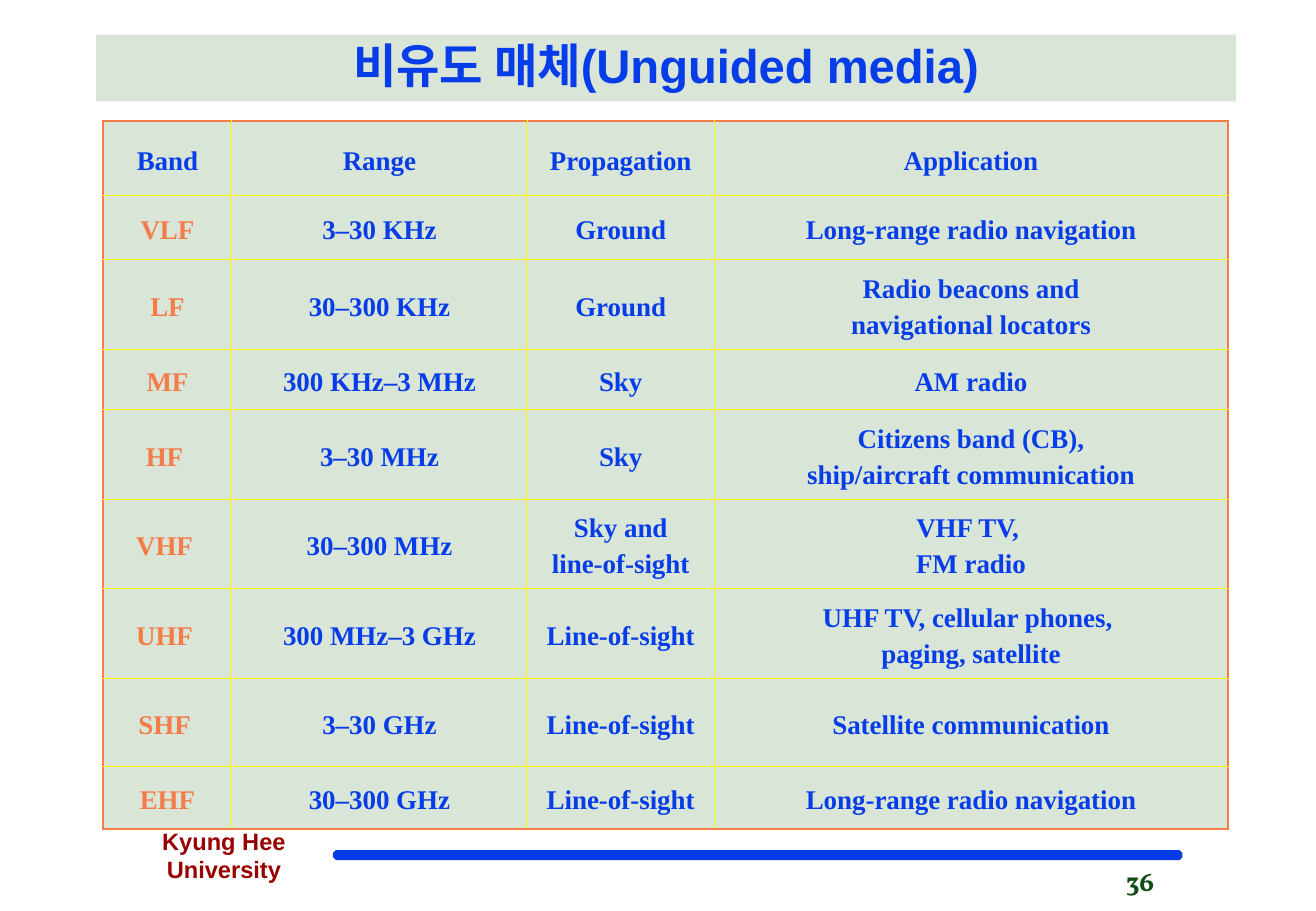
from lxml.etree import SubElement
from pptx import Presentation
from pptx.dml.color import RGBColor
from pptx.enum.shapes import MSO_SHAPE
from pptx.enum.text import MSO_ANCHOR, MSO_AUTO_SIZE, PP_ALIGN
from pptx.oxml.ns import qn
from pptx.util import Pt

BLUE, ORANGE, YELLOW, SAGE = "063DE8", "F57B49", "FAFD00", "D9E5D7"
GREEN, MAROON = "0F4D13", "990000"
COLUMN_WIDTHS = [76.2, 175.3, 110.9, 304.6]
ROW_HEIGHTS = [43.9, 38.2, 53.3, 35.3, 53.3, 53.3, 53.3, 51.8, 37.4]
BANDS = [
    ["Band", "Range", "Propagation", "Application"],
    ["VLF", "3–30 KHz", "Ground", "Long-range radio navigation"],
    ["LF", "30–300 KHz", "Ground", "Radio beacons and\vnavigational locators"],
    ["MF", "300 KHz–3 MHz", "Sky", "AM radio"],
    ["HF ", "3–30 MHz", "Sky", "Citizens band (CB),\vship/aircraft communication"],
    ["VHF ", "30–300 MHz", "Sky and\vline-of-sight", "VHF TV, \vFM radio"],
    ["UHF ", "300 MHz–3 GHz", "Line-of-sight", "UHF TV, cellular phones, \vpaging, satellite"],
    ["SHF ", "3–30 GHz", "Line-of-sight", "Satellite communication"],
    ["EHF", "30–300 GHz", "Line-of-sight", "Long-range radio navigation"],
]


def color(hex_value):
    """Turn a hex string into a colour."""
    return RGBColor.from_string(hex_value)


def apply(target, values):
    """Set every attribute named in a dict of format values."""
    for name, value in values.items():
        setattr(target, name, value)


def paint(fillable, hex_value):
    """Give a shape, line or cell a solid fill."""
    fillable.fill.solid()
    fillable.fill.fore_color.rgb = color(hex_value)


def write(frame, text, face, size, hex_value, **layout):
    """Write one bold paragraph into a text frame."""
    para = frame.paragraphs[0]
    para.text = text
    apply(para, layout)
    for span in para.runs:
        apply(span.font, {"name": face, "size": Pt(size), "bold": True})
        span.font.color.rgb = color(hex_value)


def add_title(page, left, top, width, height):
    """Place the title band in its box."""
    title = page.shapes.title
    apply(title, {"left": Pt(left), "top": Pt(top), "width": Pt(width), "height": Pt(height)})
    paint(title, SAGE)
    apply(title.text_frame, {"vertical_anchor": MSO_ANCHOR.MIDDLE, "word_wrap": True,
                             "auto_size": MSO_AUTO_SIZE.NONE})
    write(title.text_frame, "비유도 매체(Unguided media)", "Arial", 28, BLUE,
          alignment=PP_ALIGN.CENTER, line_spacing=0.9)


def add_borders(cell, sides):
    """Draw the cell borders given as side, colour and width."""
    properties = cell._tc.get_or_add_tcPr()
    for side, (hex_value, width) in sides.items():
        line = SubElement(properties, qn(f"a:ln{side}"), w=str(int(Pt(width))))
        SubElement(SubElement(line, qn("a:solidFill")), qn("a:srgbClr"), val=hex_value)


def add_band_table(page, left, top):
    """Place the table of radio bands with its corner at left and top."""
    rows, columns = len(ROW_HEIGHTS), len(COLUMN_WIDTHS)
    table = page.shapes.add_table(rows, columns, Pt(left), Pt(top),
                                  Pt(sum(COLUMN_WIDTHS)), Pt(sum(ROW_HEIGHTS))).table
    apply(table, {"first_row": False, "horz_banding": False})
    for column, width in zip(table.columns, COLUMN_WIDTHS):
        column.width = Pt(width)
    outer, inner = (ORANGE, 1.47), (YELLOW, 0.45)
    for i, (row, height) in enumerate(zip(table.rows, ROW_HEIGHTS)):
        row.height = Pt(height)
        for j, cell in enumerate(row.cells):
            edges = {"L": j == 0, "R": j == columns - 1, "T": i == 0, "B": i == rows - 1}
            add_borders(cell, {side: outer if edge else inner for side, edge in edges.items()})
            paint(cell, SAGE)
            apply(cell, {"vertical_anchor": MSO_ANCHOR.MIDDLE,
                         "margin_left": Pt(7.2), "margin_right": Pt(7.2),
                         "margin_top": Pt(3.6), "margin_bottom": Pt(3.6)})
            write(cell.text_frame, BANDS[i][j], "Times New Roman", 16,
                  ORANGE if i and j == 0 else BLUE, alignment=PP_ALIGN.CENTER,
                  line_spacing=1.2, space_after=Pt(6))


def add_label(page, left, top, width, height, *content, **layout):
    """Place a wrapped text box."""
    box = page.shapes.add_textbox(Pt(left), Pt(top), Pt(width), Pt(height))
    box.text_frame.word_wrap = True
    write(box.text_frame, *content, **layout)


def add_footer(page, left, top, width):
    """Place the university name, the bar and the page number."""
    bar = page.shapes.add_shape(MSO_SHAPE.OCTAGON, Pt(left + 144), Pt(top + 18),
                                Pt(width - 200.8), Pt(5))
    bar.adjustments[0] = 0.29
    bar.shadow.inherit = False
    paint(bar, BLUE)
    paint(bar.line, BLUE)
    bar.line.width = Pt(1)
    add_label(page, left + width - 97, top + 22.3, 97, 28.8, "36", "Vollkorn", 16, GREEN)
    add_label(page, left, top, 157.7, 41, "Kyung Hee University", "Arial", 14, MAROON,
              alignment=PP_ALIGN.CENTER)


def main():
    """Build the deck and save it."""
    deck = Presentation()
    deck.slide_width = Pt(780.48)
    deck.slide_height = Pt(540)
    page = deck.slides.add_slide(deck.slide_layouts[5])
    add_footer(page, 54, 486.4, 703.6)
    add_title(page, 57, 20.5, 676, 39.6)
    add_band_table(page, 61.2, 71.8)
    deck.save("out.pptx")


if __name__ == "__main__":
    main()
